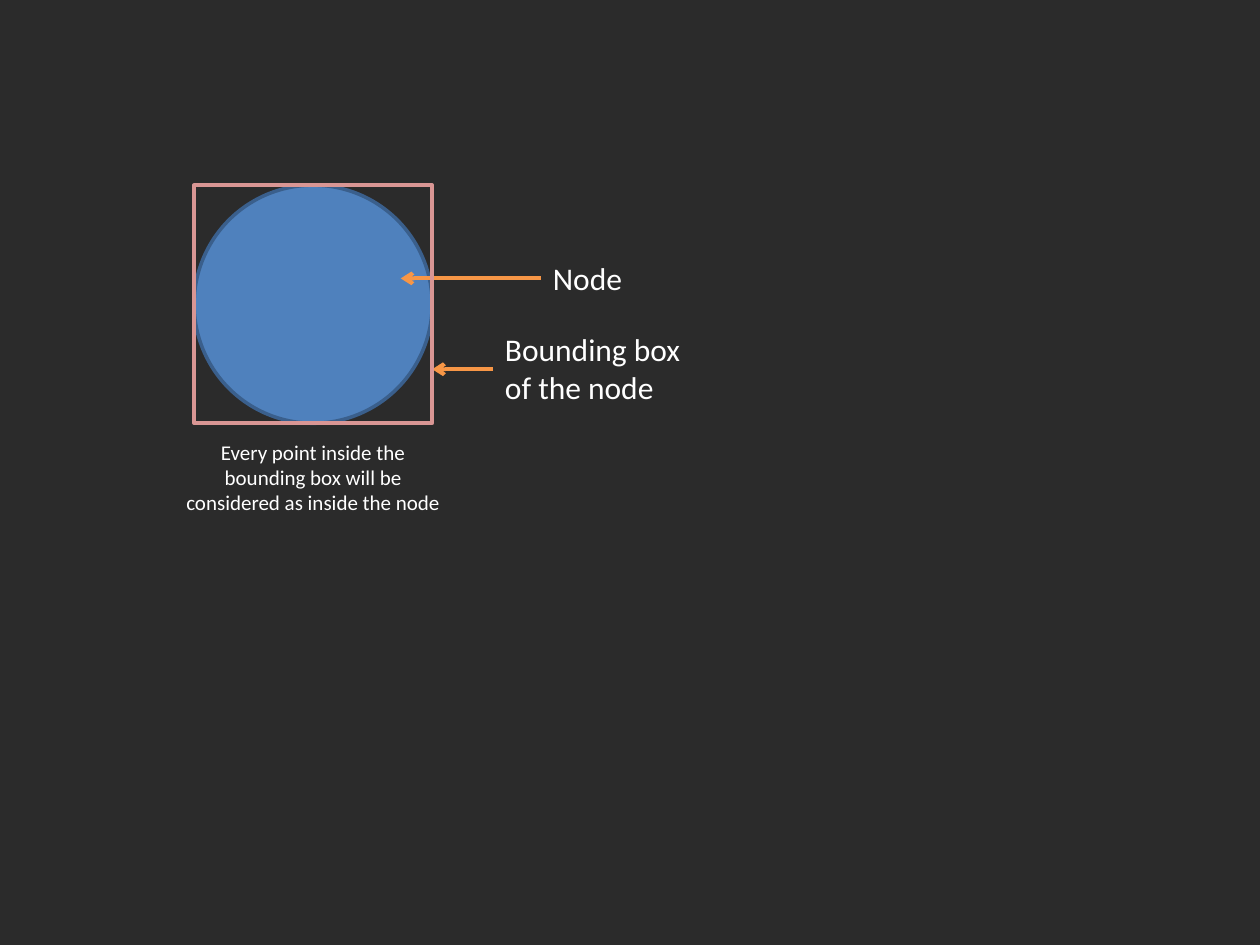
from lxml import etree
from pptx import Presentation
from pptx.dml.color import RGBColor
from pptx.enum import shapes, text
from pptx.oxml.ns import qn
from pptx.util import Pt


def paint(color_format, hex_color):
    color_format.rgb = RGBColor.from_string(hex_color)


deck = Presentation()
deck.slide_width, deck.slide_height = Pt(720), Pt(540)
slide = deck.slides.add_slide(deck.slide_layouts[6])
slide.background.fill.solid()
paint(slide.background.fill.fore_color, "2B2B2B")

# Node and its bounding box share one square
left, top, side = 110.9, 105.8, 136.1
square = [Pt(v) for v in (left, top, side, side)]
node = slide.shapes.add_shape(shapes.MSO_SHAPE.OVAL, *square)
node.fill.solid()
paint(node.fill.fore_color, "4F81BD")

# Labels and caption
labels = [
    ("Node", 308.9, 144.7, 54.7, 28.8, 18, False, text.PP_ALIGN.LEFT),
    ("Bounding box of the node", 281.5, 185, 118.1, 50.9, 18, True,
     text.PP_ALIGN.LEFT),
    ("Every point inside the bounding box will be considered as inside the node",
     96.8, 247.7, 164.2, 50.9, 12, True, text.PP_ALIGN.CENTER),
]
for words, x, y, width, height, size, wrap, align in labels:
    label = slide.shapes.add_textbox(Pt(x), Pt(y), Pt(width), Pt(height))
    frame = label.text_frame
    frame.word_wrap = wrap
    frame.auto_size = text.MSO_AUTO_SIZE.SHAPE_TO_FIT_TEXT
    frame.paragraphs[0].alignment = align
    run = frame.paragraphs[0].add_run()
    run.text = words
    run.font.name, run.font.size = "Calibri", Pt(size)
    paint(run.font.color, "FFFFFF")

# Arrows from the labels to the node and to the box edge
for start, end, y in [(281.5, left + side, 211), (308.9, 229, 159.1)]:
    arrow = slide.shapes.add_connector(
        shapes.MSO_CONNECTOR.STRAIGHT, Pt(start), Pt(y), Pt(end), Pt(y))
    arrow.line.width = Pt(2.25)
    paint(arrow.line.color, "F79646")
    etree.SubElement(arrow.line._get_or_add_ln(), qn("a:tailEnd"), type="arrow")
    etree.SubElement(arrow._element.spPr, qn("a:effectLst"))

# Bounding box in front
bounding_box = slide.shapes.add_shape(shapes.MSO_SHAPE.RECTANGLE, *square)
bounding_box.fill.background()

for outline, color in [(node, "3A5F8C"), (bounding_box, "D99694")]:
    outline.shadow.inherit = False
    outline.line.width = Pt(2)
    paint(outline.line.color, color)

deck.save("out.pptx")
